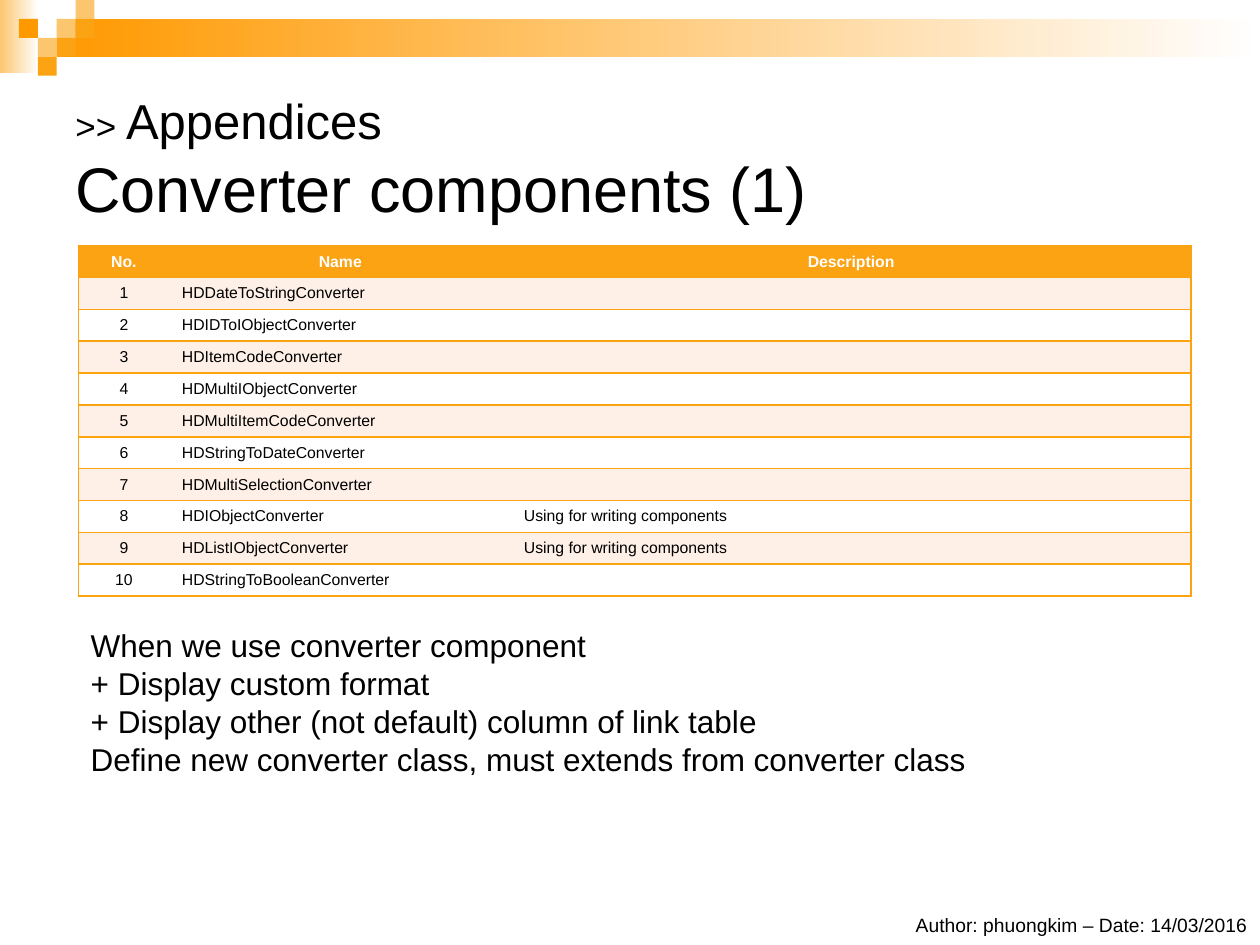
from dataclasses import dataclass

from lxml import etree
from pptx import Presentation
from pptx import util as u
from pptx.dml import color as dml
from pptx.enum import shapes, text
from pptx.oxml import ns

ORANGE, PALE, BRIGHT = "FBA313", "FCC66E", "FF9900"
PEACH, WHITE, BLACK = "FEF0E7", "FFFFFF", "000000"
SIDE = 10.8
LEFT, MID, RIGHT = text.PP_ALIGN.LEFT, text.PP_ALIGN.CENTER, text.PP_ALIGN.RIGHT


@dataclass
class Box:
    left: float
    top: float
    width: float
    height: float

    def points(self) -> list:
        return [u.Pt(n) for n in (self.left, self.top, self.width, self.height)]


@dataclass
class Tile:
    col: int
    row: int
    hue: str


@dataclass
class Run:
    words: str
    size: float
    hue: str = BLACK
    bold: bool = False


TILES = [
    Tile(3, 1, PALE), Tile(4, 0, PALE), Tile(4, 1, ORANGE), Tile(2, 2, PALE),
    Tile(1, 1, BRIGHT), Tile(3, 2, ORANGE), Tile(2, 3, ORANGE),
]
NAMES = [
    "HDDateToStringConverter", "HDIDToIObjectConverter", "HDItemCodeConverter",
    "HDMultiIObjectConverter", "HDMultiItemCodeConverter",
    "HDStringToDateConverter", "HDMultiSelectionConverter",
    "HDIObjectConverter", "HDListIObjectConverter",
    "HDStringToBooleanConverter",
]
USES = {8: "Using for writing components", 9: "Using for writing components"}
NOTES = [
    "When we use converter component",
    "+ Display custom format",
    "+ Display other (not default) column of link table",
    "Define new converter class, must extends from converter class",
]


def paint(target, hue: str) -> None:
    target.rgb = dml.RGBColor.from_string(hue)


def draw_rect(slide, box: Box, hue: str, fade: bool = False) -> None:
    rect = slide.shapes.add_shape(shapes.MSO_SHAPE.RECTANGLE, *box.points())
    rect.shadow.inherit = False
    rect.line.fill.background()
    if fade:
        rect.fill.gradient()
        rect.fill.gradient_angle = 0
        for stop, tint in zip(rect.fill.gradient_stops, (hue, WHITE)):
            paint(stop.color, tint)
    else:
        rect.fill.solid()
        paint(rect.fill.fore_color, hue)


def add_run(para, item: Run) -> None:
    run = para.add_run()
    run.text = item.words
    run.font.name = "Arial"
    run.font.size = u.Pt(item.size)
    run.font.bold = item.bold
    paint(run.font.color, item.hue)


def add_box(slide, box: Box, anchor=text.MSO_ANCHOR.TOP):
    frame = slide.shapes.add_textbox(*box.points()).text_frame
    frame.word_wrap = True
    frame.vertical_anchor = anchor
    return frame


def add_lines(cell, col: int, last: int) -> None:
    props = cell._tc.get_or_add_tcPr()
    shown = {"lnL": col == 0, "lnR": col == last, "lnT": True, "lnB": True}
    for tag, seen in shown.items():
        line = etree.SubElement(props, ns.qn(f"a:{tag}"), w=str(u.Pt(1)))
        if seen:
            fill = etree.SubElement(line, ns.qn("a:solidFill"))
            etree.SubElement(fill, ns.qn("a:srgbClr"), val=ORANGE)
        else:
            etree.SubElement(line, ns.qn("a:noFill"))


def fill_cell(cell, item: Run, hue: str, align) -> None:
    cell.vertical_anchor = text.MSO_ANCHOR.MIDDLE
    cell.fill.solid()
    paint(cell.fill.fore_color, hue)
    para = cell.text_frame.paragraphs[0]
    para.alignment = align
    if item.words:
        add_run(para, item)
    else:
        size = str(int(item.size * 100))
        etree.SubElement(para._p, ns.qn("a:endParaRPr"), sz=size)


def draw_table(slide) -> None:
    rows = [("No.", "Name", "Description")]
    rows += [(str(n), name, USES.get(n, "")) for n, name in enumerate(NAMES, 1)]
    widths = (52, 195.4, 388.4)
    high = 18.2
    box = Box(44.8, 140.4, sum(widths), high * len(rows))
    table = slide.shapes.add_table(len(rows), len(widths), *box.points()).table
    for col, width in zip(table.columns, widths):
        col.width = u.Pt(width)
    for r, words in enumerate(rows):
        table.rows[r].height = u.Pt(high)
        head = r == 0
        hue = ORANGE if head else (PEACH if r % 2 else WHITE)
        for c, word in enumerate(words):
            cell = table.cell(r, c)
            if c == 0:
                cell.margin_left = cell.margin_right = u.Pt(3)
            add_lines(cell, c, len(widths) - 1)
            item = Run(word, 9, WHITE if head else BLACK, head)
            fill_cell(cell, item, hue, MID if head or c == 0 else LEFT)


def draw_title(slide) -> None:
    frame = add_box(slide, Box(36, 36, 648, 108), text.MSO_ANCHOR.MIDDLE)
    para = frame.paragraphs[0]
    add_run(para, Run(">> ", 20))
    add_run(para, Run("Appendices ", 28))
    para.add_line_break()
    add_run(para, Run("Converter components (1)", 36))


def draw_notes(slide) -> None:
    frame = add_box(slide, Box(44.8, 354.4, 641.6, 94.4))
    for n, note in enumerate(NOTES):
        para = frame.add_paragraph() if n else frame.paragraphs[0]
        add_run(para, Run(note, 18))


def draw_foot(slide) -> None:
    para = add_box(slide, Box(365.8, 518.4, 354.2, 20.9)).paragraphs[0]
    para.alignment = RIGHT
    add_run(para, Run("Author: phuongkim – Date: 14/03/2016", 11))


def main() -> None:
    deck = Presentation()
    deck.slide_width, deck.slide_height = u.Pt(720), u.Pt(540)
    slide = deck.slides.add_slide(deck.slide_layouts[6])
    draw_rect(slide, Box(0, 0, 22, 41.8), PALE, fade=True)
    draw_rect(slide, Box(3 * SIDE, SIDE, 687.6, 2 * SIDE), BRIGHT, fade=True)
    for tile in TILES:
        spot = Box(tile.col * SIDE, tile.row * SIDE, SIDE, SIDE)
        draw_rect(slide, spot, tile.hue)
    draw_title(slide)
    draw_foot(slide)
    draw_table(slide)
    draw_notes(slide)
    deck.save("out.pptx")


if __name__ == "__main__":
    main()
